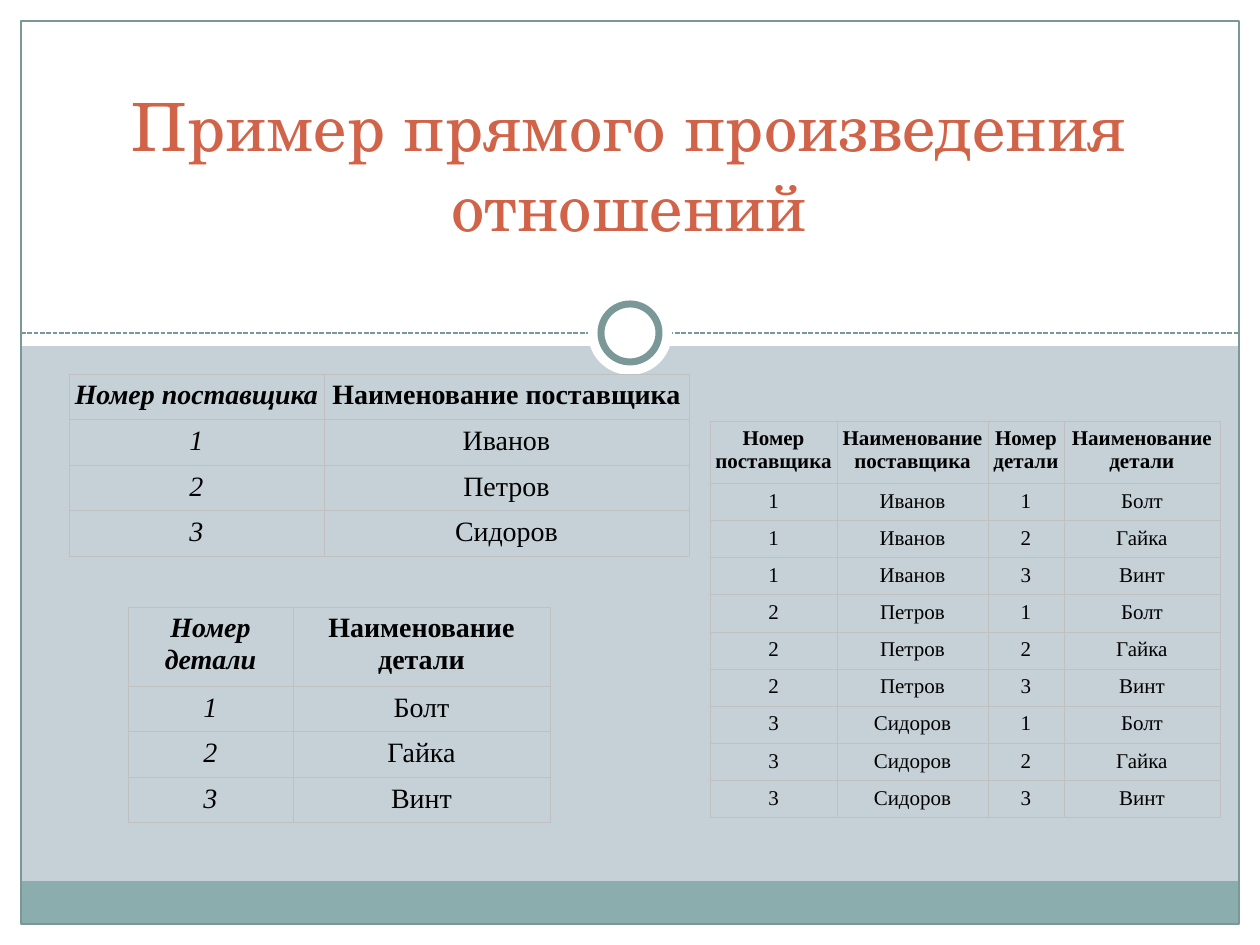
from itertools import product

from lxml.etree import SubElement
from pptx import Presentation
from pptx.dml.color import RGBColor
from pptx.enum.dml import MSO_LINE_DASH_STYLE as Dash
from pptx.enum.shapes import MSO_CONNECTOR as Connector, MSO_SHAPE as Shape
from pptx.enum.text import MSO_ANCHOR as Anchor, PP_ALIGN as Align
from pptx.oxml.ns import qn
from pptx.util import Pt

SCALE = 914400 / 126  # EMU in one px
WIDTH, HEIGHT = 1260, 945
FRAME = 21
COLORS = {
    "background": "C5D1D7",
    "white": "FFFFFF",
    "band": "8CADAE",
    "line": "7B9899",
    "title": "D16349",
    "text": "000000",
    "border": "C0C0C0",
}
TITLE_FONT, TABLE_FONT = "TeX Gyre Schola", "Times New Roman"


def emu(px):
    return round(px * SCALE)


def color(name):
    return RGBColor.from_string(COLORS[name])


def write(text_frame, text, *, size, font=TABLE_FONT, ink="text", bold=False, italic=False):
    paragraph = text_frame.paragraphs[0]
    paragraph.alignment = Align.CENTER
    run = paragraph.add_run()
    run.text = text
    run.font.name, run.font.size = font, Pt(size)
    run.font.bold, run.font.italic = bold, italic
    run.font.color.rgb = color(ink)


class SlideBuilder:
    def __init__(self, slide):
        self.slide = slide
        slide.background.fill.solid()
        slide.background.fill.fore_color.rgb = color("background")

    def shape(self, kind, left, top, width, height, fill=None, line_width=None):
        shape = self.slide.shapes.add_shape(kind, *map(emu, (left, top, width, height)))
        shape.shadow.inherit = False
        if fill:
            shape.fill.solid()
            shape.fill.fore_color.rgb = color(fill)
        else:
            shape.fill.background()
        if line_width:
            shape.line.color.rgb = color("line")
            shape.line.width = Pt(line_width)
        else:
            shape.line.fill.background()

    def dashed_line(self, left, right, y):
        line = self.slide.shapes.add_connector(
            Connector.STRAIGHT, emu(left), emu(y), emu(right), emu(y))
        line.line.color.rgb = color("line")
        line.line.width = Pt(0.91)
        line.line.dash_style = Dash.SQUARE_DOT
        SubElement(line._element.spPr, qn("a:effectLst"))

    def title(self, text, left, top, width, height):
        box = self.slide.shapes.add_textbox(*map(emu, (left, top, width, height)))
        frame = box.text_frame
        frame.word_wrap = True
        frame.vertical_anchor = Anchor.BOTTOM
        frame.margin_top = frame.margin_bottom = 0
        write(frame, text, size=38, font=TITLE_FONT, ink="title")

    def border(self, cell):
        properties = cell._tc.get_or_add_tcPr()
        for index, side in enumerate(("a:lnL", "a:lnR", "a:lnT", "a:lnB")):
            line = properties.makeelement(qn(side), {"w": str(Pt(0.45))})
            fill = SubElement(line, qn("a:solidFill"))
            SubElement(fill, qn("a:srgbClr"), val=COLORS["border"])
            properties.insert(index, line)

    def table(self, rows, left, top, columns, header_height, row_height, size, italic_key=False):
        heights = [header_height] + [row_height] * (len(rows) - 1)
        table = self.slide.shapes.add_table(
            len(rows), len(columns),
            *map(emu, (left, top, sum(columns), sum(heights)))).table
        table.first_row = table.horz_banding = False
        for column, width in zip(table.columns, columns):
            column.width = emu(width)
        for row, height in zip(table.rows, heights):
            row.height = emu(height)
        for r, values in enumerate(rows):
            for c, value in enumerate(values):
                cell = table.cell(r, c)
                cell.fill.background()
                cell.margin_left = cell.margin_right = emu(4)
                cell.margin_top = cell.margin_bottom = emu(6)
                self.border(cell)
                write(cell.text_frame, value, size=size, bold=r == 0,
                      italic=italic_key and c == 0)


def main():
    presentation = Presentation()
    presentation.slide_width, presentation.slide_height = emu(WIDTH), emu(HEIGHT)
    builder = SlideBuilder(presentation.slides.add_slide(presentation.slide_layouts[6]))

    # White margins and header
    for area in ((0, HEIGHT - FRAME, WIDTH, FRAME), (WIDTH - FRAME, 0, FRAME, HEIGHT),
                 (0, 0, FRAME, HEIGHT), (0, 0, WIDTH, 346)):
        builder.shape(Shape.RECTANGLE, *area, fill="white")

    # Bottom band, divider, frame and ring
    inner_width = WIDTH - 2 * FRAME
    builder.shape(Shape.RECTANGLE, FRAME, 881, inner_width, 43, fill="band")
    builder.dashed_line(FRAME, WIDTH - FRAME, 333)
    builder.shape(Shape.RECTANGLE, FRAME, FRAME, inner_width, HEIGHT - 2 * FRAME, line_width=0.75)
    builder.shape(Shape.OVAL, 588, 291, 84, 84, fill="white")
    builder.shape(Shape.OVAL, 601, 304, 58, 58, fill="white", line_width=4)

    builder.title("Пример прямого произведения отношений", 94, 89, 1071, 156)

    # Two relations and their direct product
    suppliers = [("1", "Иванов"), ("2", "Петров"), ("3", "Сидоров")]
    parts = [("1", "Болт"), ("2", "Гайка"), ("3", "Винт")]
    supplier_header = ("Номер поставщика", "Наименование поставщика")
    part_header = ("Номер детали", "Наименование детали")
    pairs = [supplier + part for supplier, part in product(suppliers, parts)]

    builder.table([supplier_header] + suppliers, 69, 374, (255, 365), 44, 44, 16, italic_key=True)
    builder.table([part_header] + parts, 128, 607, (165, 257), 75, 44, 16, italic_key=True)
    builder.table([supplier_header + part_header] + pairs,
                  710, 421, (127, 151, 76, 156), 60, 36, 12)

    presentation.save("out.pptx")


if __name__ == "__main__":
    main()
